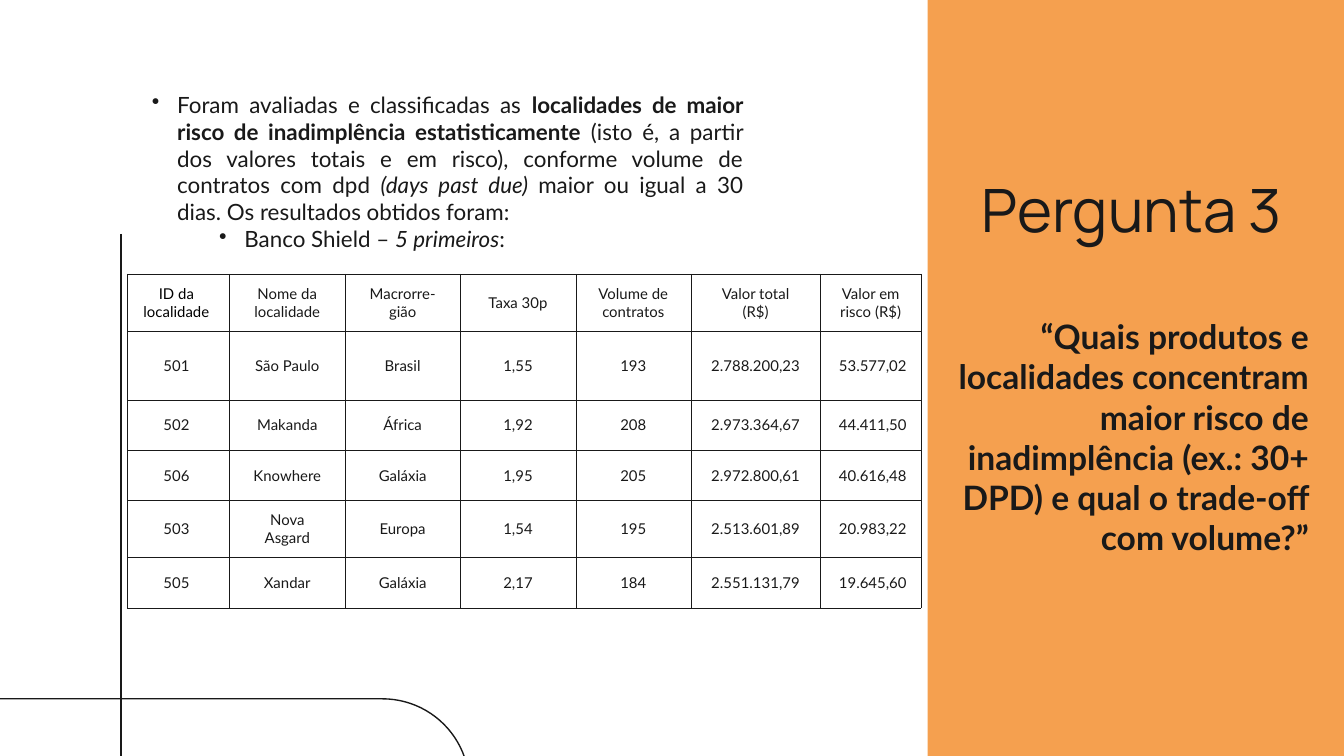
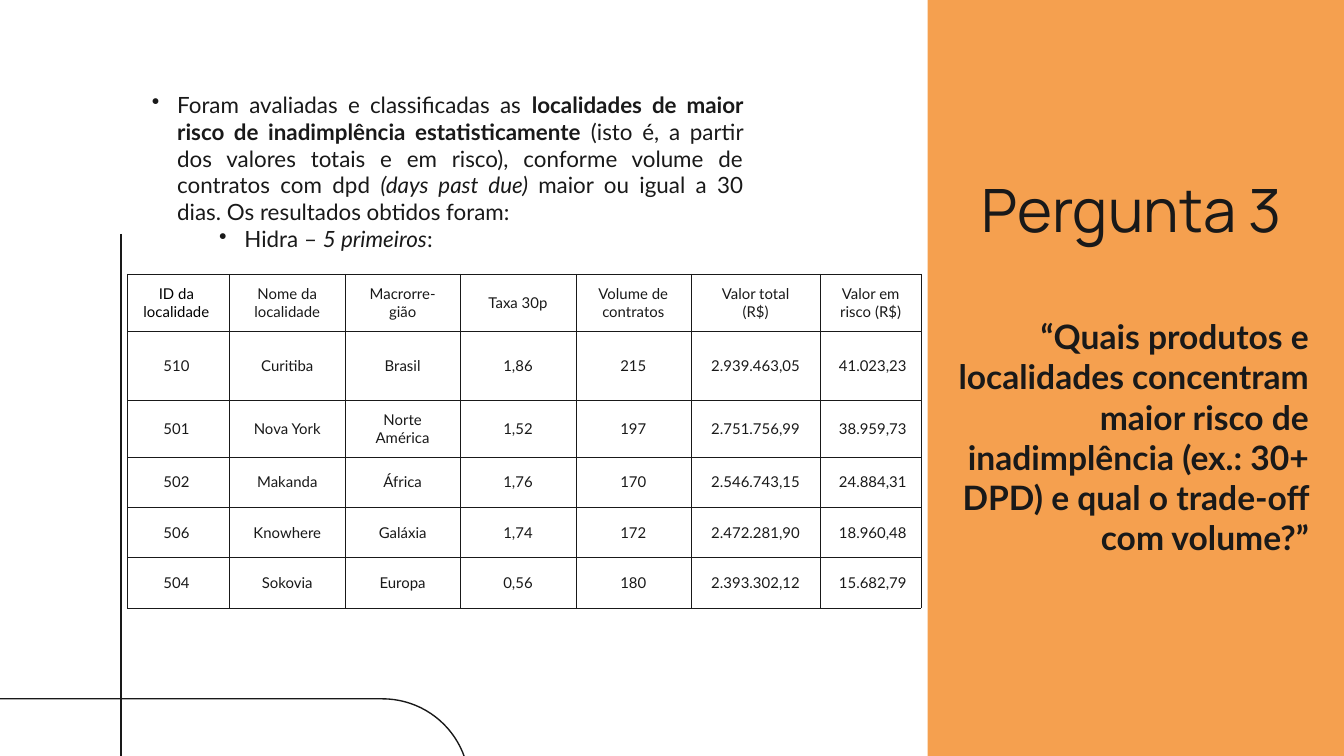
from collections import namedtuple

from lxml import etree
from pptx import Presentation
from pptx import util as u
from pptx.dml.color import RGBColor
from pptx.enum import shapes, text
from pptx.oxml import ns

COLORS = {"orange": "F5A04F", "ink": "191919", "black": "000000", "white": "FFFFFF"}
BODY_FONT, TITLE_FONT = "Lato", "Manrope"
INSET = 0.25
Box = namedtuple("Box", "left top width height")

PAGE = Box(0, 0, 25.4, 14.29)
PANEL = Box(17.53, -0.03, 7.87, 14.35)
CONTENT = Box(2.29, 1.47, 15.24, 12.82)

TITLE = "Pergunta 3"
QUESTION = ("“Quais produtos e localidades concentram maior risco de inadimplência "
            "(ex.: 30+ DPD) e qual o trade-off com volume?”")
INTRO = [
    ("Foram avaliadas e classificadas as ", {}),
    ("localidades de maior risco de inadimplência estatisticamente", {"bold": True}),
    (" (isto é, a partir dos valores totais e em risco), conforme volume de contratos com dpd ", {}),
    ("(days past due) ", {"italic": True}),
    ("maior ou igual a 30 dias. Os resultados obtidos foram:", {}),
]

HEADERS = ["ID da localidade", "Nome da localidade", "Macrorre-gião", "Taxa 30p",
           "Volume de contratos", "Valor total (R$)", "Valor em risco (R$)"]
COLUMN_WIDTHS = [1.93, 2.18, 2.18, 2.18, 2.18, 2.44, 1.91]
ROW_HEIGHTS = [0.95, 1.3, 0.95, 0.95, 0.95, 0.95]
BANKS = {
    "Banco Shield": [
        ["501", "São Paulo", "Brasil", "1,55", "193", "2.788.200,23", "53.577,02"],
        ["502", "Makanda", "África", "1,92", "208", "2.973.364,67", "44.411,50"],
        ["506", "Knowhere", "Galáxia", "1,95", "205", "2.972.800,61", "40.616,48"],
        ["503", "Nova Asgard", "Europa", "1,54", "195", "2.513.601,89", "20.983,22"],
        ["505", "Xandar", "Galáxia", "2,17", "184", "2.551.131,79", "19.645,60"],
    ],
    "Hidra": [
        ["510", "Curitiba", "Brasil", "1,86", "215", "2.939.463,05", "41.023,23"],
        ["501", "Nova York", "Norte América", "1,52", "197", "2.751.756,99", "38.959,73"],
        ["502", "Makanda", "África", "1,76", "170", "2.546.743,15", "24.884,31"],
        ["506", "Knowhere", "Galáxia", "1,74", "172", "2.472.281,90", "18.960,48"],
        ["504", "Sokovia", "Europa", "0,56", "180", "2.393.302,12", "15.682,79"],
    ],
}


def rgb(color):
    return RGBColor.from_string(COLORS[color])


def set_all(target, values):
    for name, value in values.items():
        setattr(target, name, value)


def inside(box, left, top, width, height):
    """Lengths for a part whose left and top are counted from the corner of box."""
    return [u.Cm(n) for n in (box.left + left, box.top + top, width, height)]


def write(para, spans, size, font=BODY_FONT, color="ink", align=text.PP_ALIGN.CENTER):
    para.alignment = align
    for wording, style in spans:
        span = para.add_run()
        span.text = wording
        set_all(span.font, {"name": font, "size": u.Pt(size), "bold": False, "italic": False, **style})
        span.font.color.rgb = rgb(color)


def format_frame(frame):
    set_all(frame, {"word_wrap": True, "auto_size": text.MSO_AUTO_SIZE.NONE,
                    "vertical_anchor": text.MSO_ANCHOR.TOP})
    set_all(frame, {f"margin_{side}": u.Cm(INSET) for side in ("left", "right", "top", "bottom")})
    return frame


def add_text(page, place):
    return format_frame(page.shapes.add_textbox(*place).text_frame)


def add_bullet(para, left):
    props = para._p.get_or_add_pPr()
    props.set("marL", str(u.Cm(left)))
    props.set("indent", str(-u.Cm(0.48)))
    tint = etree.SubElement(props, ns.qn("a:buClr"))
    etree.SubElement(tint, ns.qn("a:srgbClr"), val=COLORS["ink"])
    etree.SubElement(props, ns.qn("a:buChar"), char="•")


def draw_outlines(page, box):
    """The rounded line at the foot of the page and the upright line beside the table."""
    curve = page.shapes.add_shape(shapes.MSO_SHAPE.ROUNDED_RECTANGLE,
                                  *inside(box, -2.69, 13.21, 11.56, 3.28))
    curve.adjustments[0] = 0.5
    curve.shadow.inherit = False
    curve.fill.background()
    left, top, _, height = inside(box, 2.29, 4.42, 0, 9.88)
    upright = page.shapes.add_connector(shapes.MSO_CONNECTOR.STRAIGHT, left, top, left, top + height)
    etree.SubElement(upright.element.spPr, ns.qn("a:effectLst"))
    for outline in (curve, upright):
        outline.line.color.rgb = rgb("ink")
        outline.line.width = u.Pt(0.75)


def draw_panel(page, box):
    """The orange band with the title and the question."""
    band = page.shapes.add_shape(shapes.MSO_SHAPE.RECTANGLE, *inside(box, 0, 0, box.width, box.height))
    band.shadow.inherit = False
    band.fill.solid()
    band.fill.fore_color.rgb = rgb("orange")
    band.line.fill.background()

    question = add_text(page, inside(box, 0.22, 5.75, 7.24, 4.22))
    write(question.paragraphs[0], [(QUESTION, {"bold": True})], 18, align=text.PP_ALIGN.RIGHT)

    title = page.shapes.title
    set_all(title, dict(zip(("left", "top", "width", "height"), inside(box, -0.59, 3.05, 8.89, 1.88))))
    write(format_frame(title.text_frame).paragraphs[0], [(TITLE, {})], 32, TITLE_FONT)
    title.element.getparent().append(title.element)  # in front of the band


def add_borders(cell):
    props = cell._tc.get_or_add_tcPr()
    for index, side in enumerate(("lnL", "lnR", "lnT", "lnB")):
        border = etree.Element(ns.qn(f"a:{side}"), w=str(u.Pt(0.25)))
        fill = etree.SubElement(border, ns.qn("a:solidFill"))
        etree.SubElement(fill, ns.qn("a:srgbClr"), val=COLORS["ink"])
        props.insert(index, border)


def draw_table(page, place, rows):
    table = page.shapes.add_table(len(rows), len(HEADERS), *place).table
    set_all(table, {"first_row": False, "horz_banding": False})
    for column, width in zip(table.columns, COLUMN_WIDTHS):
        column.width = u.Cm(width)
    for row, height in zip(table.rows, ROW_HEIGHTS):
        row.height = u.Cm(height)
    last = len(HEADERS) - 1
    for r, values in enumerate(rows):
        side = 0.33 if r else 0.3
        for c, value in enumerate(values):
            cell = table.cell(r, c)
            set_all(cell, {
                "vertical_anchor": text.MSO_ANCHOR.MIDDLE,
                "margin_left": u.Cm(side if c else side - 0.08),
                "margin_right": u.Cm(0.25 if r and c == last else side),
                "margin_top": u.Cm(0.2), "margin_bottom": u.Cm(0.2),
            })
            cell.fill.background()
            add_borders(cell)
            color = "black" if r == c == 0 else "ink"
            write(cell.text_frame.paragraphs[0], [(value, {})], 8, color=color)


def draw_content(page, box, bank, rows):
    """The two bullets and the table of the five riskiest places of a bank."""
    frame = add_text(page, inside(box, 0.33, 0, 11.68, 4.98))
    detail = [(f"{bank} – ", {}), ("5 primeiros", {"italic": True}), (":", {})]
    for level, spans in enumerate((INTRO, detail)):
        para = frame.add_paragraph() if level else frame.paragraphs[0]
        para.level = level
        add_bullet(para, 0.48 + 1.27 * level)
        write(para, spans, 12, align=text.PP_ALIGN.JUSTIFY)
    place = inside(box, 0.12, 3.71, sum(COLUMN_WIDTHS), sum(ROW_HEIGHTS))
    draw_table(page, place, [HEADERS] + rows)


def add_question_page(deck, bank, rows):
    page = deck.slides.add_slide(deck.slide_layouts.get_by_name("Title Only"))
    page.background.fill.solid()
    page.background.fill.fore_color.rgb = rgb("white")
    draw_outlines(page, PAGE)
    draw_panel(page, PANEL)
    draw_content(page, CONTENT, bank, rows)


def main():
    deck = Presentation()
    deck.slide_width, deck.slide_height = u.Cm(PAGE.width), u.Cm(PAGE.height)
    for bank, rows in BANKS.items():
        add_question_page(deck, bank, rows)
    deck.save("out.pptx")


if __name__ == "__main__":
    main()
